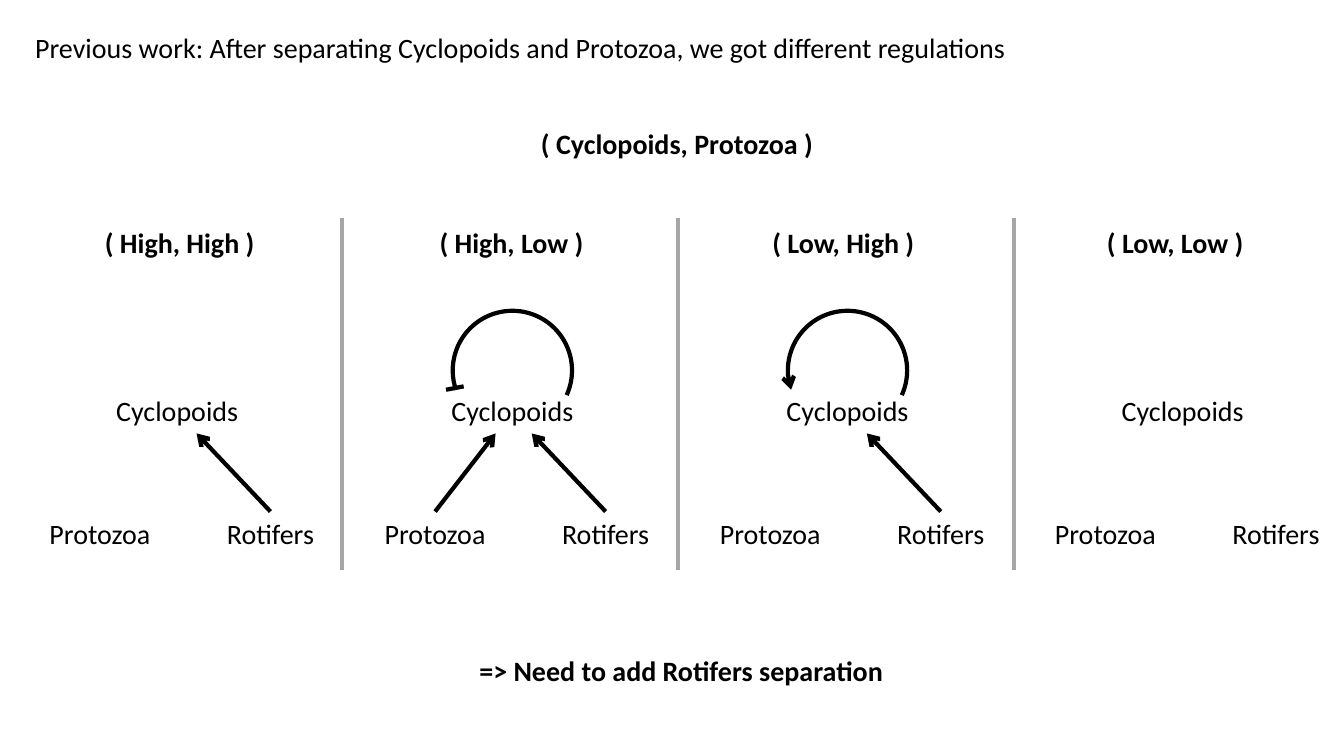
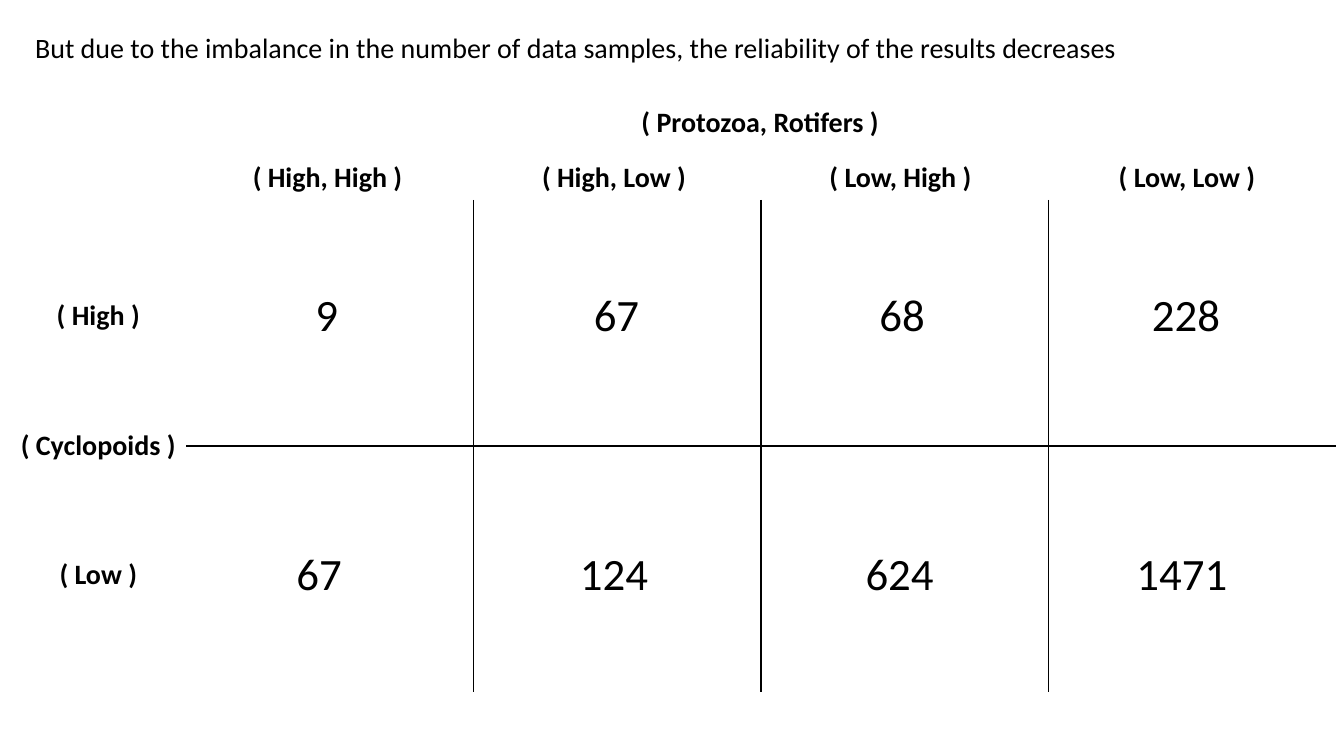
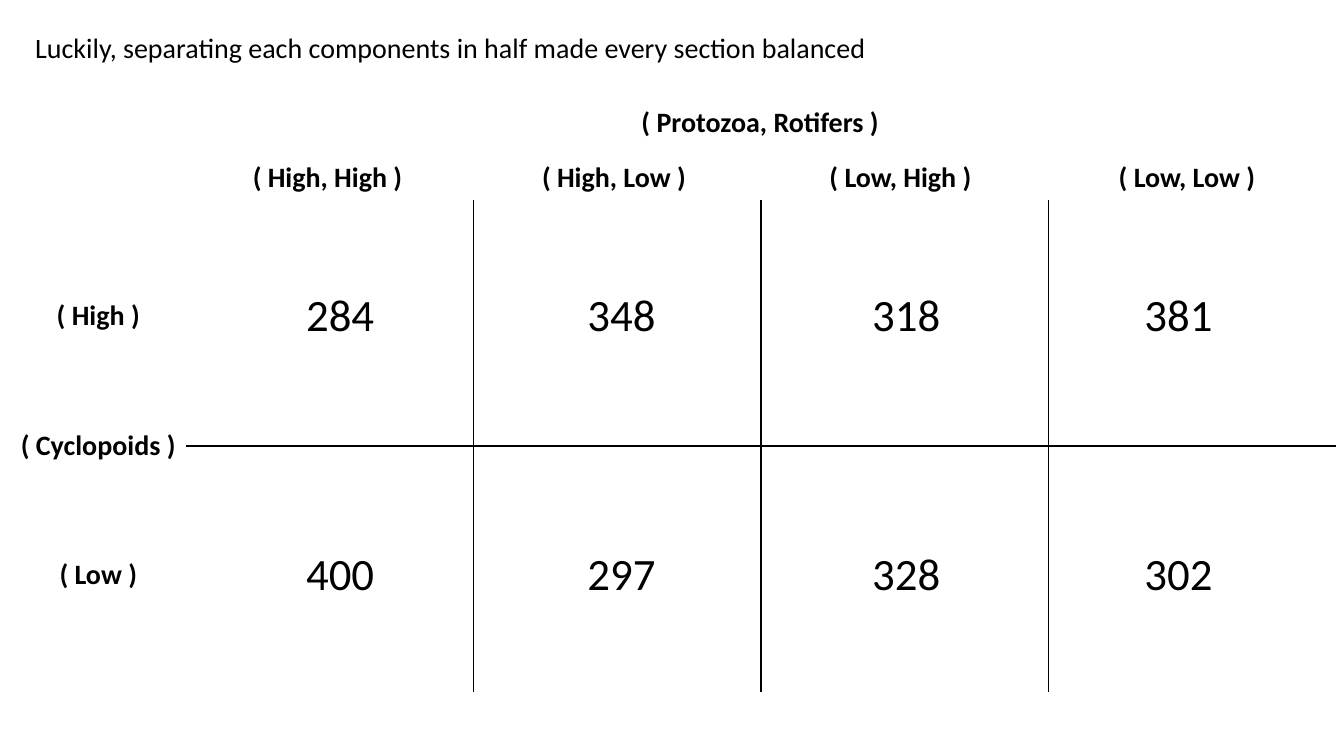
from lxml.etree import SubElement
from pptx import Presentation
from pptx.dml.color import RGBColor
from pptx.enum.shapes import MSO_CONNECTOR, MSO_SHAPE
from pptx.enum.text import MSO_ANCHOR, MSO_AUTO_SIZE, PP_ALIGN
from pptx.oxml.ns import qn
from pptx.util import Emu, Pt

COLS, ROWS, UNIT = 160, 90, 76200  # square grid cells, 12 to the inch
INK, RULE = "000000", "A6A6A6"
PLAIN = {"name": "Calibri", "size": Pt(20), "bold": False}
BOLD = PLAIN | {"bold": True}
BIG = PLAIN | {"size": Pt(32)}
LEVELS = [("( High, High )", 20.4), ("( High, Low )", 19.8),
          ("( Low, High )", 19.6), ("( Low, Low )", 18.8)]


def hue(code):
    return RGBColor.from_string(code)


def grid(*cells):
    """Turn grid cells into lengths."""
    return [Emu(round(n * UNIT)) for n in cells]


class Deck:
    def __init__(self):
        self.file = Presentation()
        self.file.slide_width, self.file.slide_height = grid(COLS, ROWS)

    def page(self, title, wide):
        self.slide = self.file.slides.add_slide(self.file.slide_layouts[6])
        self.shapes = self.slide.shapes
        self.text(title, 3 + wide / 2, 3, wide, align=PP_ALIGN.LEFT)

    def text(self, words, mid, top, wide, form=PLAIN, align=PP_ALIGN.CENTER):
        """Place one line of text centred on the column mid."""
        high = form["size"].pt * 0.2 + 1.2
        box = self.shapes.add_textbox(*grid(mid - wide / 2, top, wide, high))
        frame = box.text_frame
        looks = {"word_wrap": False, "auto_size": MSO_AUTO_SIZE.SHAPE_TO_FIT_TEXT,
                 "vertical_anchor": MSO_ANCHOR.TOP}
        for key, value in looks.items():
            setattr(frame, key, value)
        para = frame.paragraphs[0]
        para.alignment = align
        run = para.add_run()
        run.text = words
        for key, value in form.items():
            setattr(run.font, key, value)
        run.font.color.rgb = hue(INK)
        return box

    def heads(self, first, step, top):
        for i, (words, wide) in enumerate(LEVELS):
            self.text(words, first + step * i, top, wide, BOLD)

    def stroke(self, shape, color=INK, tip=None):
        shape.line.color.rgb = hue(color)
        shape.line.width = Pt(3)
        if tip:
            SubElement(shape.line._get_or_add_ln(), qn(f"a:{tip}"), type="arrow")

    def line(self, x1, y1, x2, y2, color=INK, tip=None, start=None):
        """Draw a line, joined to the top of the box start if one is given."""
        link = self.shapes.add_connector(MSO_CONNECTOR.STRAIGHT, *grid(x1, y1, x2, y2))
        if start is not None:
            link.begin_connect(start, 0)
        self.stroke(link, color, tip)
        SubElement(link._element.spPr, qn("a:effectLst"))

    def loop(self, mid, tip=None):
        arc = self.shapes.add_shape(MSO_SHAPE.ARC, *grid(mid - 7.1, 37, 14.2, 14.2))
        arc.adjustments[0], arc.adjustments[1] = 96.63, 14.66
        arc.fill.background()
        arc.shadow.inherit = False
        self.stroke(arc, tip=tip)

    def web(self, mid, arrows, loop):
        """Draw one food web; arrows names the species that act on Cyclopoids."""
        self.text("Cyclopoids", mid, 46.2, 17)
        for name, shift, wide, aim in (("Protozoa", -9.2, 15.8, -2),
                                       ("Rotifers", 11.1, 14, 2.3)):
            box = self.text(name, mid + shift, 60.9, wide)
            if name in arrows:
                self.line(mid + shift, 60.9, mid + aim, 51.6, tip="tailEnd", start=box)
        if loop:
            self.loop(mid, "headEnd" if loop == "boost" else None)
        if loop == "block":
            self.line(mid - 7.9, 46.4, mid - 5.8, 46)

    def cross(self, left, top, wide, high, rows=2, cols=4):
        """Add an empty table that shows its inner borders only."""
        table = self.shapes.add_table(rows, cols, *grid(left, top, wide, high)).table
        table.first_row = table.horz_banding = False
        for r in range(rows):
            for c in range(cols):
                cell = table.cell(r, c)
                props = cell._tc.get_or_add_tcPr()
                inner = {"L": c > 0, "R": c < cols - 1, "T": r > 0, "B": r < rows - 1}
                for side, shown in inner.items():
                    edge = SubElement(props, qn(f"a:ln{side}"), w=str(Pt(1)))
                    fill = SubElement(edge, qn("a:solidFill" if shown else "a:noFill"))
                    if shown:
                        SubElement(fill, qn("a:srgbClr"), val=INK)
                cell.fill.background()

    def counts(self, title, wide, rows):
        """Make a page of sample counts; rows holds pairs of values and centres."""
        self.page(title, wide)
        self.cross(22.2, 23.8, 136.8, 58.6)
        self.text("( Protozoa, Rotifers )", 90.5, 11.8, 31, BOLD)
        self.heads(39, 34.1, 18.4)
        for words, top, span in (("( High )", 34.8, 12.4), ("( Cyclopoids )", 50.3, 21),
                                 ("( Low )", 65.6, 11.8)):
            self.text(words, 11.7, top, span, BOLD)
        for top, (values, mids) in zip((33.5, 64.4), rows):
            for value, mid in zip(values, mids):
                words = str(value)
                self.text(words, mid, top, 2.5 + 2.7 * len(words), BIG)


def main():
    deck = Deck()
    deck.page("Previous work: After separating Cyclopoids and Protozoa, "
              "we got different regulations", 119.2)
    deck.text("( Cyclopoids, Protozoa )", 80.6, 14.5, 35, BOLD)
    deck.heads(21.4, 39.5, 26.2)
    webs = [(["Rotifers"], None), (["Protozoa", "Rotifers"], "block"),
            (["Rotifers"], "boost"), ([], None)]
    for i, (arrows, loop) in enumerate(webs):
        deck.web(21.1 + 39.9 * i, arrows, loop)
    for i in range(3):
        x = 40.7 + 40 * i
        deck.line(x, 25.9, x, 67.9, RULE)
    deck.text("=> Need to add Rotifers separation", 81.1, 77.2, 50.9, BOLD)

    deck.counts("But due to the imbalance in the number of data samples, "
                "the reliability of the results decreases", 132.5,
                [((9, 67, 68, 228), (38.9, 73.4, 107.4, 141.2)),
                 ((67, 124, 624, 1471), (38, 73.1, 107.1, 140.7))])
    mids = (40.5, 74, 107.9, 140.3)
    deck.counts("Luckily, separating each components in half made every section balanced",
                102.4, [((284, 348, 318, 381), mids), ((400, 297, 328, 302), mids)])
    deck.file.save("out.pptx")


if __name__ == "__main__":
    main()
